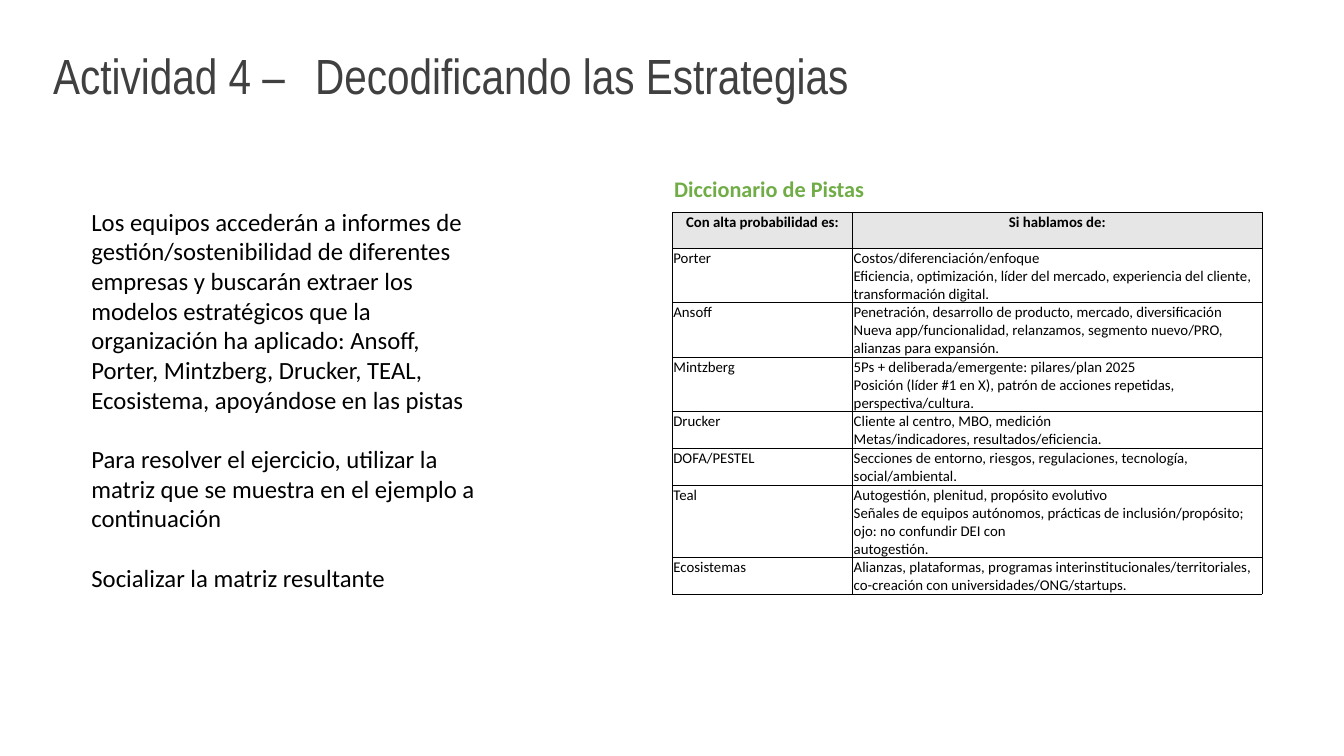
from lxml import etree
from pptx import Presentation
from pptx.dml.color import RGBColor
from pptx.enum import text as t
from pptx.oxml import ns
from pptx.util import Cm, Pt

BLACK = RGBColor(0x00, 0x00, 0x00)
GRAY = RGBColor(0x40, 0x40, 0x40)
GREEN = RGBColor(0x70, 0xAD, 0x47)
SILVER = RGBColor(0xE7, 0xE6, 0xE6)

TITLE = "Actividad 4 –\tDecodificando las Estrategias"
LABEL = "Diccionario de Pistas"
BODY = [
    "Los equipos accederán a informes de gestión/sostenibilidad de diferentes "
    "empresas y buscarán extraer los modelos estratégicos que la organización "
    "ha aplicado: Ansoff, Porter, Mintzberg, Drucker, TEAL, Ecosistema, "
    "apoyándose en las pistas",
    "Para resolver el ejercicio, utilizar la matriz que se muestra en el "
    "ejemplo a continuación",
    "Socializar la matriz resultante",
]
# Lines of height, model, clues
CLUES = [
    (2, "Con alta probabilidad es:", ["Si hablamos de:"]),
    (3, "Porter", [
        "Costos/diferenciación/enfoque",
        "Eficiencia, optimización, líder del mercado, experiencia del cliente, "
        "transformación digital."]),
    (3, "Ansoff", [
        "Penetración, desarrollo de producto, mercado, diversificación",
        "Nueva app/funcionalidad, relanzamos, segmento nuevo/PRO, alianzas "
        "para expansión."]),
    (3, "Mintzberg", [
        "5Ps + deliberada/emergente: pilares/plan 2025",
        "Posición (líder #1 en X), patrón de acciones repetidas, "
        "perspectiva/cultura."]),
    (2, "Drucker", [
        "Cliente al centro, MBO, medición",
        "Metas/indicadores, resultados/eficiencia."]),
    (2, "DOFA/PESTEL", [
        "Secciones de entorno, riesgos, regulaciones, tecnología, "
        "social/ambiental."]),
    (4, "Teal", [
        "Autogestión, plenitud, propósito evolutivo",
        "Señales de equipos autónomos, prácticas de inclusión/propósito; ojo: "
        "no confundir DEI con",
        "autogestión."]),
    (2, "Ecosistemas", [
        "Alianzas, plataformas, programas interinstitucionales/territoriales, "
        "co-creación con universidades/ONG/startups."]),
]

WIDE, HIGH = Cm(38.38), Cm(21.59)
COLS = [Cm(5.15), Cm(11.69)]
LINE = Cm(0.51)
EDGE = Pt(0.5)
TAB = Cm(7.48)

HEAD = {"name": "Arial Narrow", "size": Pt(40)}
TEXT = {"name": "Calibri", "size": Pt(20)}
HINT = {"name": "Calibri", "size": Pt(18), "bold": True}
CELL = {"name": "Calibri", "size": Pt(12)}


def write(frame, lines, form, color, gap=0):
    """Put each line in its own paragraph, with the gap between them."""
    frame.text = "\n".join(lines)
    for i, para in enumerate(frame.paragraphs):
        if i and gap:
            para.space_before = Pt(gap)
        for run in para.runs:
            run.font.color.rgb = color
            for key, val in form.items():
                setattr(run.font, key, val)


def add_box(slide, place, lines, form, color, gap=0, wrap=True, grow=True):
    frame = slide.shapes.add_textbox(*map(Cm, place)).text_frame
    frame.word_wrap = wrap
    if grow:
        frame.auto_size = t.MSO_AUTO_SIZE.SHAPE_TO_FIT_TEXT
    write(frame, lines, form, color, gap)
    return frame.paragraphs[0]


def add_tab(para, pos):
    stops = etree.SubElement(para._p.get_or_add_pPr(), ns.qn("a:tabLst"))
    etree.SubElement(stops, ns.qn("a:tab"), pos=str(pos), algn="l")


def add_edges(cell):
    props = cell._tc.get_or_add_tcPr()
    for side in "LRTB":
        line = etree.SubElement(props, ns.qn("a:ln" + side), w=str(EDGE))
        fill = etree.SubElement(line, ns.qn("a:solidFill"))
        etree.SubElement(fill, ns.qn("a:srgbClr"), val=str(BLACK))


def fill_cell(cell, lines, head):
    for side in ("left", "right", "top"):
        setattr(cell, "margin_" + side, Cm(0.03))
    cell.margin_bottom = 0
    write(cell.text_frame, lines, {**CELL, "bold": head}, BLACK)
    add_edges(cell)
    if head:
        cell.fill.solid()
        cell.fill.fore_color.rgb = SILVER
        cell.text_frame.paragraphs[0].alignment = t.PP_ALIGN.CENTER
    else:
        cell.fill.background()


def add_clues(slide):
    high = LINE * sum(row[0] for row in CLUES)
    table = slide.shapes.add_table(
        len(CLUES), len(COLS), Cm(19.2), Cm(6.07), sum(COLS), high).table
    table.first_row = table.horz_banding = False
    for col, wide in zip(table.columns, COLS):
        col.width = wide
    for i, (count, model, clues) in enumerate(CLUES):
        table.rows[i].height = LINE * count
        for j, lines in enumerate(([model], clues)):
            fill_cell(table.cell(i, j), lines, i == 0)


def main():
    deck = Presentation()
    deck.slide_width, deck.slide_height = WIDE, HIGH
    slide = deck.slides.add_slide(deck.slide_layouts[6])
    title = add_box(slide, (1.27, 1.35, 29.11, 2.21), [TITLE], HEAD, GRAY,
                    grow=False)
    title.line_spacing = 0.9
    add_tab(title, TAB)
    add_box(slide, (2.36, 5.77, 11.68, 11.38), BODY, TEXT, BLACK, gap=24)
    add_clues(slide)
    add_box(slide, (19, 4.88, 5.97, 1.02), [LABEL], HINT, GREEN, wrap=False)
    deck.save("out.pptx")


if __name__ == "__main__":
    main()
